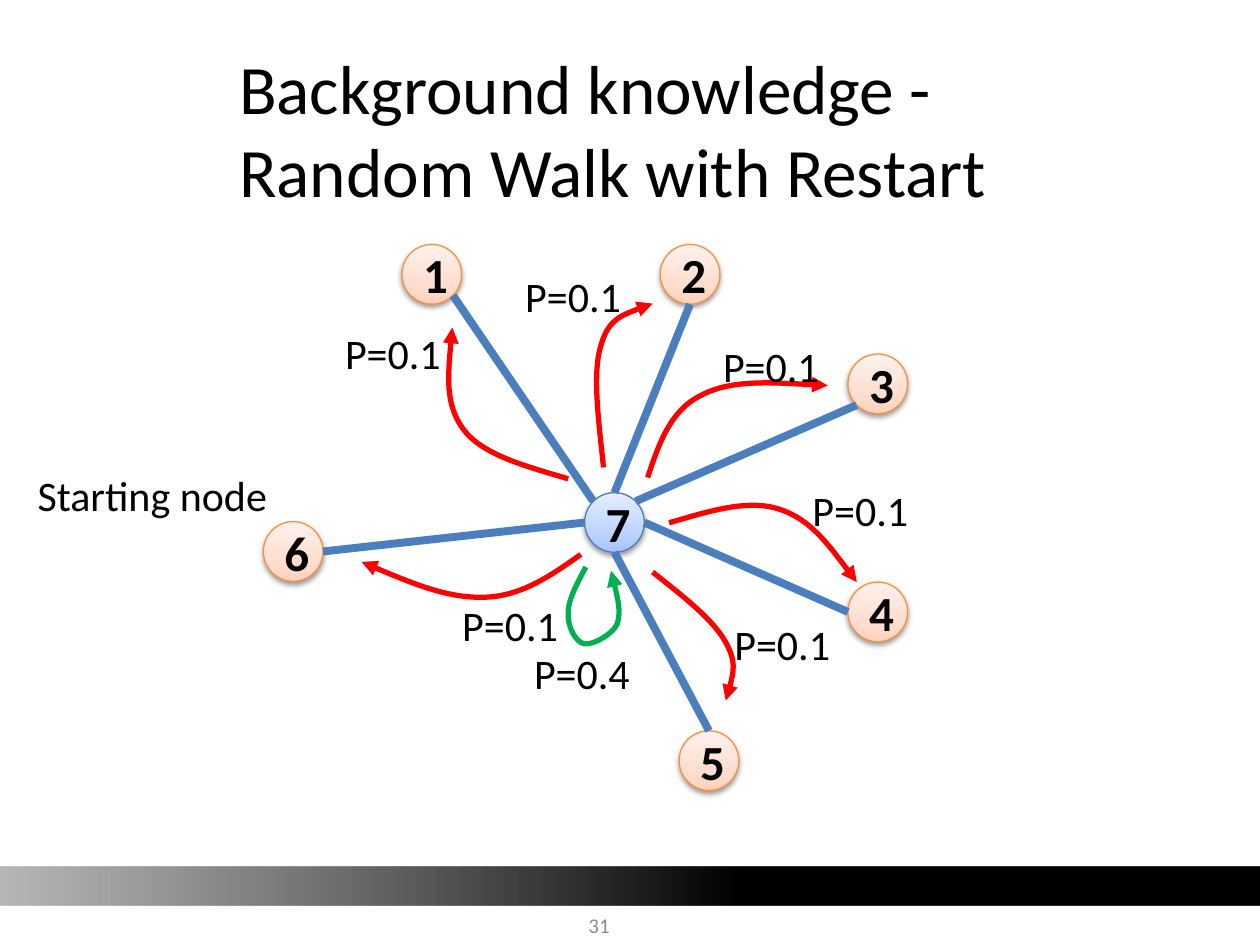
import pptx
import pptx.util
import pptx.dml.color
import pptx.enum.shapes
import pptx.enum.text
import pptx.oxml.ns
import lxml.etree

qn = pptx.oxml.ns.qn
RGB = pptx.dml.color.RGBColor.from_string
Pt = pptx.util.Pt
Shape = pptx.enum.shapes.MSO_SHAPE
Align = pptx.enum.text.PP_ALIGN
Anchor = pptx.enum.text.MSO_ANCHOR

COLORS = {
    "text": "000000", "number": "8C8C8C", "edge": "4B7EBC", "rim": "F69240",
    "walk": "FF0000", "restart": "00B050",
}
GRADIENTS = {
    "outer": [(0, "FFD2BD", 100), (35, "FFDED0", 100), (100, "FFF2ED", 100)],
    "hub": [(0, "A4C4FF", 100), (35, "BFD4FF", 100), (100, "E6EEFF", 100)],
    "band": [(41, "000000", 100), (100, "404040", 37)],
}

deck = pptx.Presentation()
deck.slide_width = pptx.util.Inches(10)
deck.slide_height = pptx.util.Inches(7.5)
page = deck.slides.add_slide(deck.slide_layouts[6])
column = deck.slide_width / 100
row = deck.slide_height / 75


def area(left, top, width, height):
    return [round(v) for v in (left * column, top * row, width * column, height * row)]


def fill_gradient(shape, stops, angle):
    shape.fill.gradient()
    shape.fill.gradient_angle = angle
    stop_list = next(shape._element.iter(qn("a:gsLst")))
    for old_stop in list(stop_list):
        stop_list.remove(old_stop)
    for position, color, opacity in stops:
        stop = lxml.etree.SubElement(stop_list, qn("a:gs"), pos=str(position * 1000))
        tint = lxml.etree.SubElement(stop, qn("a:srgbClr"), val=color)
        lxml.etree.SubElement(tint, qn("a:alpha"), val=str(opacity * 1000))


band = page.shapes.add_shape(Shape.RECTANGLE, *area(0, 68.8, 100, 3.1))
band.shadow.inherit = False
band.line.fill.background()
fill_gradient(band, GRADIENTS["band"], 180)

title = page.shapes.add_textbox(*area(18, 3.9, 77, 12.5)).text_frame
title.word_wrap = True
title.vertical_anchor = Anchor.MIDDLE
para = title.paragraphs[0]
para.add_run().text = "Background knowledge -"
para.add_line_break()
para.add_run().text = "Random Walk with Restart"
para.font.name = "Calibri"
para.font.size = Pt(39.6)
para.font.color.rgb = RGB(COLORS["text"])

number = page.shapes.add_textbox(*area(35.9, 71.9, 23.3, 3.1)).text_frame
number.word_wrap = True
number.vertical_anchor = Anchor.MIDDLE
para = number.paragraphs[0]
para.text = "31"
para.alignment = Align.CENTER
para.font.name = "Calibri"
para.font.size = Pt(12)
para.font.color.rgb = RGB(COLORS["number"])

diameter = 4.74
radius = diameter / 2
diagonal = 0.71
hub = (46.4, 39.1)
outer_nodes = [
    ("1", 31.9, 19.4, (-diagonal, -diagonal)),
    ("2", 52.4, 19.4, (0, -1)),
    ("3", 67.3, 28.1, (diagonal, -diagonal)),
    ("4", 67.3, 46.2, (1, 0)),
    ("5", 53.9, 58, (0, 1)),
    ("6", 20.9, 41.4, (-1, 0)),
]

for name, left, top, direction in outer_nodes + [("7", *hub, None)]:
    kind, rim = ("outer", "rim") if direction else ("hub", "edge")
    node = page.shapes.add_shape(Shape.OVAL, *area(left, top, diameter, diameter))
    fill_gradient(node, GRADIENTS[kind], 90)
    node.line.color.rgb = RGB(COLORS[rim])
    node.line.width = Pt(0.75)
    node.shadow.inherit = False
    effects = node._element.spPr.find(qn("a:effectLst"))
    shadow = lxml.etree.SubElement(
        effects, qn("a:outerShdw"), blurRad=str(Pt(3.1)), dist=str(Pt(1.6)),
        dir="5400000", rotWithShape="0")
    shade = lxml.etree.SubElement(shadow, qn("a:srgbClr"), val="000000")
    lxml.etree.SubElement(shade, qn("a:alpha"), val="38000")
    node.text_frame.vertical_anchor = Anchor.MIDDLE
    para = node.text_frame.paragraphs[0]
    para.text = name
    para.alignment = Align.CENTER
    para.font.name = "Calibri"
    para.font.size = Pt(28)
    para.font.bold = True
    para.font.color.rgb = RGB(COLORS["text"])

for name, left, top, (across, down) in outer_nodes:
    ends = area(left + radius * (1 - across), top + radius * (1 - down),
                hub[0] + radius * (1 + across), hub[1] + radius * (1 + down))
    edge = page.shapes.add_connector(pptx.enum.shapes.MSO_CONNECTOR.STRAIGHT, *ends)
    edge.line.color.rgb = RGB(COLORS["edge"])
    edge.line.width = Pt(4.5)
    lxml.etree.SubElement(edge._element.spPr, qn("a:effectLst"))

curves = [
    ("walk", [(51.4, 37.9), (52.3, 35.2), (53.2, 32.6), (55.6, 31.4),
              (58, 30.1), (61.9, 30.4), (65.7, 30.6)]),
    ("walk", [(53.1, 41.5), (56.2, 40.6), (59.3, 39.6), (61.8, 40.4),
              (64.3, 41.2), (66.1, 43.7), (68, 46.2)]),
    ("walk", [(51.8, 45.4), (54.2, 47.3), (56.5, 49.1), (57.5, 50.8),
              (58.5, 52.5), (58.1, 54.1), (57.6, 55.6)]),
    ("walk", [(47.9, 37.1), (47.5, 33.3), (47, 29.6), (47.7, 27.4),
              (48.3, 25.3), (50.1, 24.7), (51.8, 24.1)]),
    ("walk", [(45.1, 38), (41.7, 37), (38.3, 36.1), (36.8, 34.1),
              (35.3, 32.1), (35.6, 29.1), (35.9, 26)]),
    ("walk", [(46.1, 44), (43.7, 45.7), (41.4, 47.3), (38.5, 47.4),
              (35.6, 47.5), (32.2, 46.1), (28.7, 44.6)]),
    ("restart", [(46.5, 45), (45.8, 46.3), (45.1, 47.6), (45.1, 48.6),
                 (45, 49.7), (45.7, 51), (46.4, 51.1), (47, 51.2), (48.6, 50.4),
                 (49, 49.5), (49.3, 48.5), (48.9, 46.9), (48.5, 45.3)]),
]
for color, controls in curves:
    points = [(x * column, y * row) for x, y in controls]
    builder = page.shapes.build_freeform(*points[0])
    builder.add_line_segments(points[1:], close=False)
    curve = builder.convert_to_shape()
    segments = list(curve._element.iter(qn("a:lnTo")))
    for first in range(0, len(segments), 3):
        bezier = lxml.etree.Element(qn("a:cubicBezTo"))
        segments[first].addprevious(bezier)
        for segment in segments[first:first + 3]:
            bezier.append(segment[0])
            segment.getparent().remove(segment)
    curve.shadow.inherit = False
    curve.fill.background()
    curve.line.color.rgb = RGB(COLORS[color])
    curve.line.width = Pt(3)
    lxml.etree.SubElement(curve.line._get_or_add_ln(), qn("a:tailEnd"), type="triangle")

labels = [("Starting node", 2, 36.8, 20.4), ("P=0.4", 41.4, 50.9, 9.7)]
walk_places = [(26.4, 25.5), (40.7, 21), (56.4, 26.5), (63.5, 38), (57.3, 48.6), (35.7, 47.1)]
labels += [("P=0.1", left, top, 9.7) for left, top in walk_places]
for words, left, top, width in labels:
    box = page.shapes.add_textbox(*area(left, top, width, 5)).text_frame
    box.word_wrap = False
    box.auto_size = pptx.enum.text.MSO_AUTO_SIZE.SHAPE_TO_FIT_TEXT
    para = box.paragraphs[0]
    para.text = words
    para.font.name = "Calibri"
    para.font.size = Pt(24)
    para.font.color.rgb = RGB(COLORS["text"])

deck.save("out.pptx")
